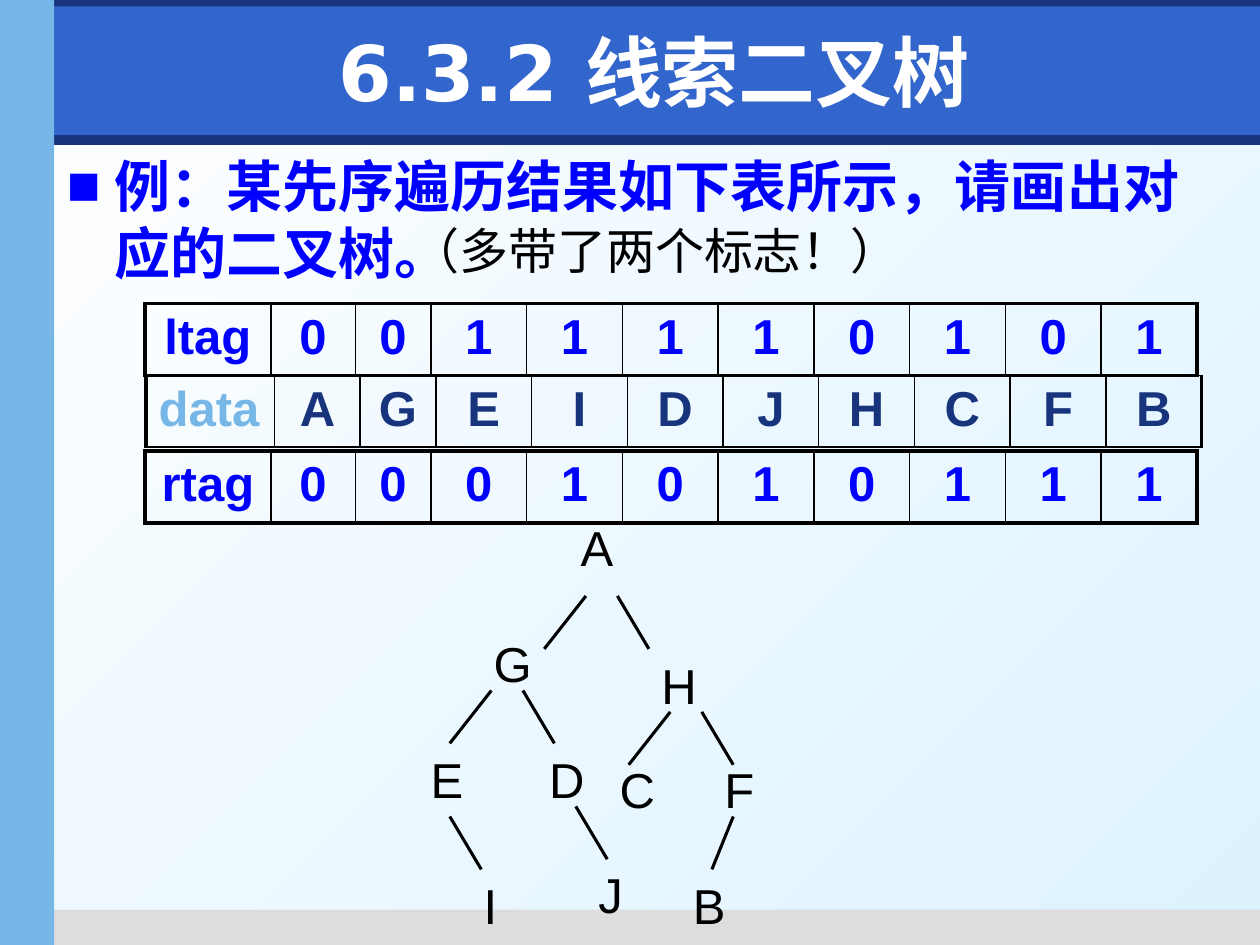
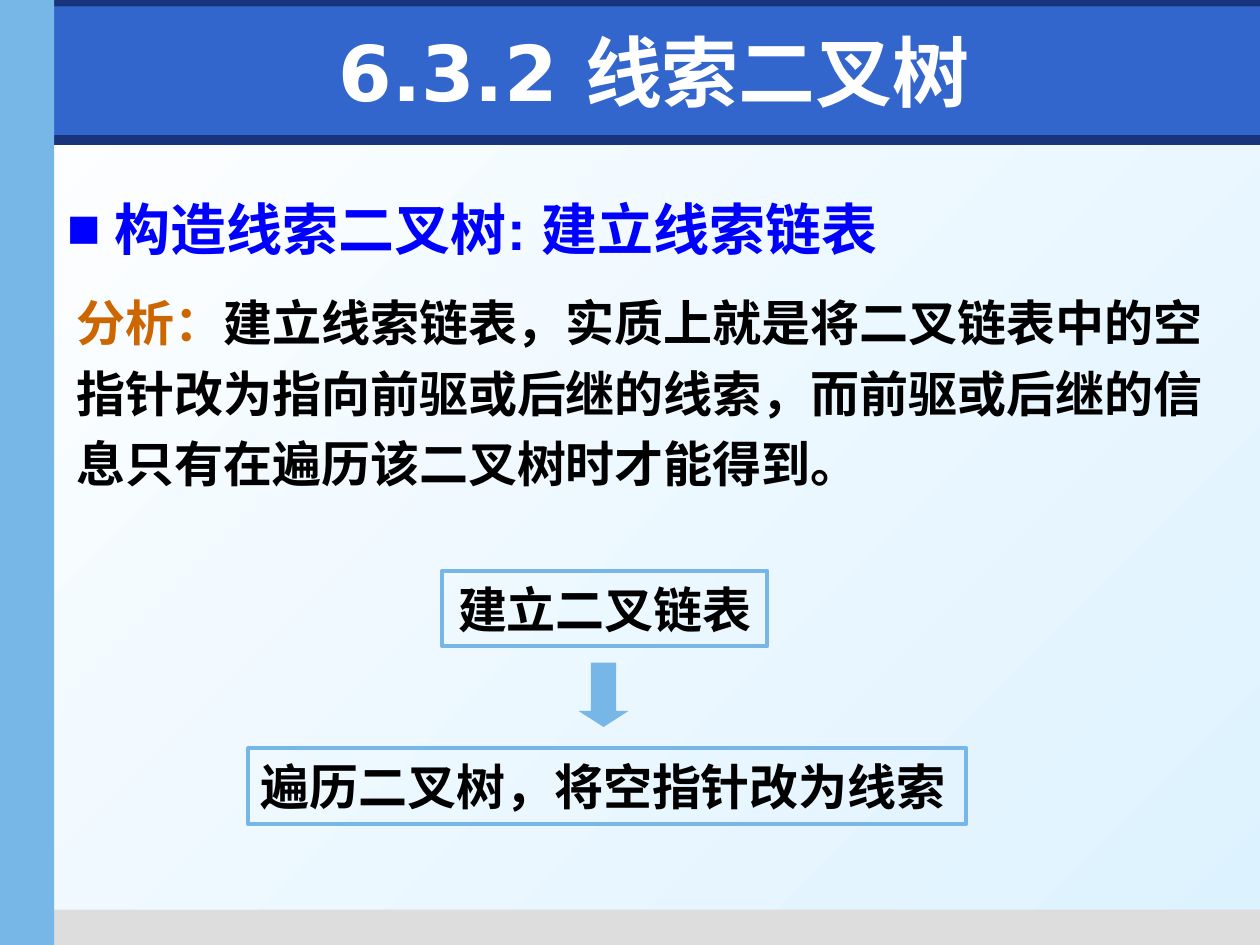
from dataclasses import dataclass
from typing import NamedTuple

from lxml.etree import SubElement
from pptx import Presentation
from pptx.dml.color import RGBColor as RGB
from pptx.enum.shapes import MSO_CONNECTOR as LINK, MSO_SHAPE as FORM
from pptx.enum.text import MSO_ANCHOR as ANCHOR, MSO_AUTO_SIZE as FIT, PP_ALIGN as ALIGN
from pptx.oxml.ns import qn
from pptx.util import Inches, Pt


@dataclass(frozen=True)
class Theme:
    navy: str = "17347D"
    royal: str = "3366CC"
    sky: str = "77B7E7"
    grey: str = "DDDDDD"
    blue: str = "0000FF"
    brown: str = "CC6600"
    black: str = "000000"
    white: str = "FFFFFF"
    ice: str = "DDF2FF"
    head: int = 44
    lead: int = 32
    text: int = 28
    sans: str = "Arial"
    serif: str = "Times New Roman"
    wide: str = "DejaVu Sans"
    thin: float = 1
    branch: float = 1.75
    thick: float = 2.25


T = Theme()
TITLE = "6.3.2 线索二叉树"
NO_STYLE = "{2D5ABB26-0587-4C30-8999-92F81FD0307C}"


class Box(NamedTuple):
    left: float
    top: float
    width: float
    height: float

    def place(self) -> tuple:
        return tuple(Inches(n) for n in self)


class Band(NamedTuple):
    box: Box
    color: str


class Run(NamedTuple):
    text: str
    color: str = T.black
    size: int = T.text
    font: str = T.sans
    bold: bool = True


class Node(NamedTuple):
    name: str
    left: float
    top: float
    width: float


class Edge(NamedTuple):
    left: float
    top: float
    shift: float


class Strip(NamedTuple):
    label: str
    values: str
    top: float


BANDS = [
    Band(Box(0.04, 1.07, 10, 0.08), T.navy),
    Band(Box(0.35, 7.22, 9.65, 0.28), T.grey),
    Band(Box(0, -0.03, 10, 0.24), T.navy),
    Band(Box(0.43, 0.05, 9.57, 1.02), T.royal),
    Band(Box(0, 0, 0.43, 7.5), T.sky),
]
STRIPS = [Strip("ltag", "0011110101", 2.41), Strip("rtag", "0001010111", 3.58)]
ROW = 0.57
SLIM = [0.76] * 8
NODES = [
    Node("A", 4.51, 4.06, 0.48), Node("G", 3.82, 4.98, 0.5),
    Node("H", 5.15, 5.15, 0.5), Node("E", 3.32, 5.9, 0.46),
    Node("D", 4.26, 5.9, 0.48), Node("C", 4.82, 5.98, 0.48),
    Node("F", 5.65, 5.98, 0.44), Node("I", 3.74, 6.9, 0.35),
    Node("J", 4.65, 6.81, 0.4), Node("B", 5.4, 6.9, 0.46),
]
FORKS = [(4.65, 4.73), (3.9, 5.48), (5.32, 5.65)]
EDGES = [Edge(3.57, 6.48, 0.25), Edge(4.57, 6.4, 0.25), Edge(5.82, 6.48, -0.17)]
EDGES += [Edge(x + gap, y, shift) for x, y in FORKS
          for gap, shift in ((0, -0.33), (0.25, 0.25))]
DROP = 0.42


def write(frame, runs: list[Run], **form):
    """Fill the first paragraph with runs and set its format values."""
    para = frame.paragraphs[0]
    for name, value in form.items():
        setattr(para, name, value)
    for item in runs:
        run = para.add_run()
        run.text = item.text
        look = dict(size=Pt(item.size), name=item.font, bold=item.bold)
        for name, value in look.items():
            setattr(run.font, name, value)
        run.font.color.rgb = RGB.from_string(item.color)
    return para


def draw(slide, form, box: Box, fill: str = "", line: str = ""):
    shape = slide.shapes.add_shape(form, *box.place())
    shape.shadow.inherit = False
    if fill:
        shape.fill.solid()
        shape.fill.fore_color.rgb = RGB.from_string(fill)
    else:
        shape.fill.background()
    if line:
        shape.line.color.rgb = RGB.from_string(line)
        shape.line.width = Pt(T.thick)
    else:
        shape.line.fill.background()
    return shape


def label(slide, box: Box, runs: list[Run], **form) -> None:
    frame = slide.shapes.add_textbox(*box.place()).text_frame
    frame.word_wrap = True
    write(frame, runs, **form)


def frame_box(slide, box: Box, runs: list[Run], align) -> None:
    frame = draw(slide, FORM.RECTANGLE, box, line=T.sky).text_frame
    frame.word_wrap = False
    write(frame, runs, alignment=align)


def hold(shape, box: Box, anchor):
    """Move a placeholder and fix its frame."""
    for name, value in zip(Box._fields, box.place()):
        setattr(shape, name, value)
    frame = shape.text_frame
    frame.auto_size = FIT.NONE
    frame.vertical_anchor = anchor
    return frame


def start(deck, lead: str, top: float, spacing: float):
    """Add a slide with its title and bulleted lead."""
    slide = deck.slides.add_slide(deck.slide_layouts[1])
    head = hold(slide.shapes.title, Box(0.59, 0.13, 9.21, 0.87), ANCHOR.MIDDLE)
    write(head, [Run(TITLE, T.white, T.head, T.wide)], alignment=ALIGN.CENTER)
    body = hold(slide.placeholders[1], Box(0.43, top, 9.37, 7.13 - top), ANCHOR.TOP)
    para = write(body, [Run(lead, T.blue, T.lead)],
                 line_spacing=spacing, space_before=Pt(T.lead * 0.2))
    props = para._p.get_or_add_pPr()
    props.set("marL", str(Inches(0.38)))
    props.set("indent", str(Inches(-0.38)))
    tint = SubElement(props, qn("a:buClr"))
    SubElement(tint, qn("a:srgbClr"), val=T.blue)
    SubElement(props, qn("a:buFont"), typeface=T.sans)
    SubElement(props, qn("a:buChar"), char="■")
    return slide


def dress(master, slide) -> None:
    """Give the master its background and bands, drawn by way of a slide."""
    fill = master.background.fill
    fill.gradient()
    fill.gradient_angle = 315
    for stop, color, spot in zip(fill.gradient_stops, (T.white, T.ice), (0, 1)):
        stop.color.rgb = RGB.from_string(color)
        stop.position = spot
    tree = master.element.cSld.spTree
    for spot, band in enumerate(BANDS, 2):
        tree.insert(spot, draw(slide, FORM.RECTANGLE, band.box, band.color).element)


def edge(cell, **sides: float) -> None:
    """Draw cell borders; sides come in the order L, R, T, B."""
    props = cell._tc.get_or_add_tcPr()
    for spot, (side, width) in enumerate(sides.items()):
        line = props.makeelement(qn("a:ln" + side), {"w": str(Pt(width))})
        paint = SubElement(line, qn("a:solidFill"))
        SubElement(paint, qn("a:srgbClr"), val=T.black)
        props.insert(spot, line)


def grid(slide, left: float, top: float, widths: list[float], rows: int):
    box = Box(left, top, sum(widths), rows * ROW)
    frame = slide.shapes.add_table(rows, len(widths), *box.place())
    for tag in frame.element.iter(qn("a:tableStyleId")):
        tag.text = NO_STYLE
    table = frame.table
    table.first_row = table.horz_banding = False
    for column, width in zip(table.columns, widths):
        column.width = Inches(width)
    for cell in table.iter_cells():
        cell.fill.background()
    return table


def fill_row(cells: list, runs: list[Run], rim: float, first) -> None:
    """Write one row; rim is the width of its top and bottom lines."""
    last = len(cells) - 1
    for spot, (cell, run) in enumerate(zip(cells, runs)):
        write(cell.text_frame, [run], space_before=Pt(T.text * 0.2),
              alignment=ALIGN.CENTER if spot else first)
        edge(cell, L=T.thin if spot else T.thick,
             R=T.thick if spot == last else T.thin, T=rim, B=rim)


def tables(slide) -> None:
    base = grid(slide, 1.16, 2.41, [1.02, 0.2, 0.44, 0.6] + SLIM, 3)
    for row, col in ((0, 0), (1, 1), (2, 0)):
        base.cell(row, col).merge(base.cell(row, col + 1))
    cells = [base.cell(1, col) for col in range(12) if col != 2]
    runs = [Run("data", T.sky)] + [Run(name, T.navy) for name in "AGEIDJHCFB"]
    fill_row(cells, runs, T.thin, ALIGN.LEFT)
    edge(base.cell(1, 2), T=T.thin, B=T.thin)
    for strip in STRIPS:
        table = grid(slide, 1.15, strip.top, [1, 0.67, 0.6] + SLIM, 1)
        runs = [Run(word, T.blue) for word in (strip.label, *strip.values)]
        fill_row(list(table.iter_cells()), runs, T.thick, ALIGN.CENTER)


def branch(slide, item: Edge) -> None:
    ends = (item.left, item.top, item.left + item.shift, item.top + DROP)
    line = slide.shapes.add_connector(LINK.STRAIGHT, *(Inches(n) for n in ends))
    line.line.color.rgb = RGB.from_string(T.black)
    line.line.width = Pt(T.branch)
    SubElement(line.element.spPr, qn("a:effectLst"))


def example(slide) -> None:
    tables(slide)
    for item in EDGES:
        branch(slide, item)
    for node in NODES:
        box = Box(node.left, node.top, node.width, ROW)
        label(slide, box, [Run(node.name, bold=False)])
    label(slide, Box(3.16, 1.7, 4.44, ROW), [Run("（多带了两个标志！）", bold=False)])


def method(slide) -> None:
    label(slide, Box(0.51, 2.18, 9.39, 1.78), [
        Run("分析：", T.brown, font=T.serif),
        Run("建立线索链表，实质上就是将二叉链表中的空指针改为指向前驱或后继的线索，"
            "而前驱或后继的信息只有在遍历该二叉树时才能得到。", font=T.serif),
    ], line_spacing=1.2, space_before=Pt(T.text * 0.5))
    frame_box(slide, Box(3.51, 4.53, 2.58, 0.6), [Run("建立二叉链表")], ALIGN.CENTER)
    frame_box(slide, Box(1.97, 5.94, 5.7, 0.6),
              [Run("遍历二叉树，将", font=T.serif), Run("空指针改为线索")], ALIGN.LEFT)
    arrow = draw(slide, FORM.DOWN_ARROW, Box(4.59, 5.26, 0.4, 0.51), T.sky)
    arrow.adjustments[0] = 0.5
    arrow.adjustments[1] = 0.32


def main() -> None:
    deck = Presentation()
    deck.slide_width, deck.slide_height = Inches(10), Inches(7.5)
    first = start(deck, "例：某先序遍历结果如下表所示，请画出对应的二叉树。", 1.15, 1)
    dress(deck.slide_master, first)
    example(first)
    method(start(deck, "构造线索二叉树: 建立线索链表", 1.23, 1.5))
    deck.save("out.pptx")


if __name__ == "__main__":
    main()
